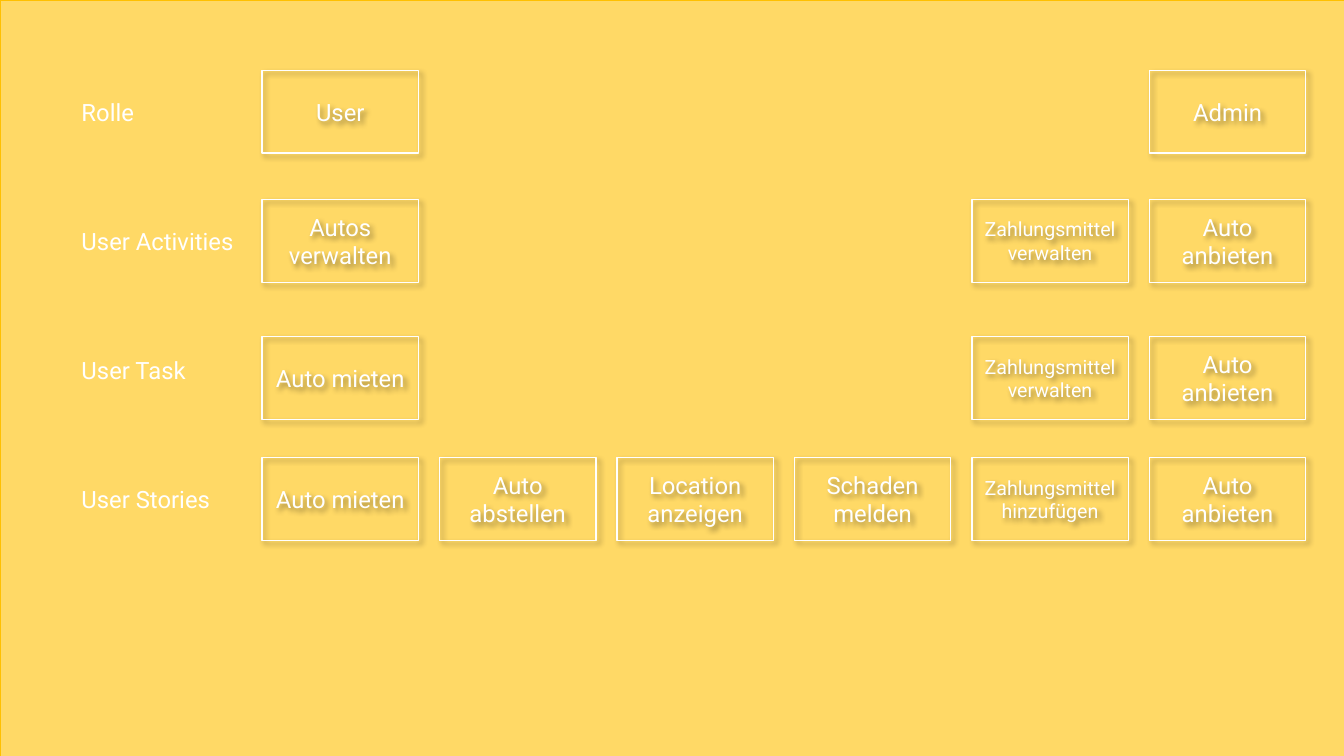
import dataclasses

import pptx
import pptx.dml.color
import pptx.enum.shapes
import pptx.enum.text
import pptx.oxml
import pptx.oxml.ns
import pptx.util

Inches = pptx.util.Inches
Pt = pptx.util.Pt
RGB = pptx.dml.color.RGBColor


@dataclasses.dataclass(frozen=True)
class Theme:
    background: RGB = RGB(0xFF, 0xD9, 0x66)
    border: RGB = RGB(0xFF, 0xC0, 0x00)
    ink: RGB = RGB(0xFF, 0xFF, 0xFF)
    font: str = "Roboto"
    normal: int = 17
    small: int = 14


THEME = Theme()
SLIDE_W, SLIDE_H = 13.33, 7.5
MAP_LEFT, COL_STEP = 2.6, 1.76
CARD_W, CARD_H = 1.55, 0.82
LABEL_LEFT, LABEL_TOP, LABEL_STEP, LABEL_H = 0.71, 0.92, 1.28, 0.39

LABELS = [("Rolle", 0.75), ("User Activities", 1.78),
          ("User Task", 1.29), ("User Stories", 1.54)]

STORY_ROWS = [
    (0.7, {0: "User", 5: "Admin"}),
    (1.98, {0: "Autos\nverwalten", 4: "Zahlungsmittel verwalten",
            5: "Auto anbieten"}),
    (3.34, {0: "Auto mieten", 4: "Zahlungsmittel verwalten",
            5: "Auto anbieten"}),
    (4.54, {0: "Auto mieten", 1: "Auto abstellen", 2: "Location anzeigen",
            3: "Schaden\nmelden", 4: "Zahlungsmittel hinzufügen",
            5: "Auto anbieten"}),
]


def add_shadow(sp):
    sp.shadow.inherit = False
    effects = sp._element.spPr.find(pptx.oxml.ns.qn("a:effectLst"))
    effects.append(pptx.oxml.parse_xml(
        f'<a:outerShdw {pptx.oxml.ns.nsdecls("a")} blurRad="{Pt(4)}" '
        f'dist="{Pt(3)}" dir="2700000" algn="tl" rotWithShape="0">'
        '<a:srgbClr val="000000"><a:alpha val="40000"/></a:srgbClr>'
        '</a:outerShdw>'))


def add_rect(slide, box, line, width):
    sp = slide.shapes.add_shape(pptx.enum.shapes.MSO_SHAPE.RECTANGLE,
                                *map(Inches, box))
    sp.line.color.rgb = line
    sp.line.width = Pt(width)
    add_shadow(sp)
    return sp


def set_text(tf, text, size, align):
    tf.text = text
    for p in tf.paragraphs:
        p.alignment = align
        p.font.name = THEME.font
        p.font.size = Pt(size)
        p.font.color.rgb = THEME.ink


def add_background(slide, box):
    sp = add_rect(slide, box, THEME.border, 0.5)
    sp.fill.solid()
    sp.fill.fore_color.rgb = THEME.background


def add_labels(slide, left, top):
    for i, (text, width) in enumerate(LABELS):
        sp = slide.shapes.add_textbox(
            *map(Inches, (left, top + i * LABEL_STEP, width, LABEL_H)))
        tf = sp.text_frame
        set_text(tf, text, THEME.normal, pptx.enum.text.PP_ALIGN.LEFT)
        tf.word_wrap = False
        tf.auto_size = pptx.enum.text.MSO_AUTO_SIZE.SHAPE_TO_FIT_TEXT


def add_card(slide, box, text):
    sp = add_rect(slide, box, THEME.ink, 1)
    sp.fill.background()
    tf = sp.text_frame
    tf.word_wrap = True
    tf.vertical_anchor = pptx.enum.text.MSO_ANCHOR.MIDDLE
    size = THEME.small if text.startswith("Zahlungsmittel") else THEME.normal
    set_text(tf, text, size, pptx.enum.text.PP_ALIGN.CENTER)


def add_story_map(slide, left):
    for top, cards in STORY_ROWS:
        for col, text in cards.items():
            add_card(slide, (left + col * COL_STEP, top, CARD_W, CARD_H), text)


def main():
    prs = pptx.Presentation()
    prs.slide_width = Inches(SLIDE_W)
    prs.slide_height = Inches(SLIDE_H)
    slide = prs.slides.add_slide(prs.slide_layouts.get_by_name("Blank"))
    add_background(slide, (0, 0, SLIDE_W, SLIDE_H))
    add_labels(slide, LABEL_LEFT, LABEL_TOP)
    add_story_map(slide, MAP_LEFT)
    prs.save("out.pptx")


if __name__ == "__main__":
    main()
